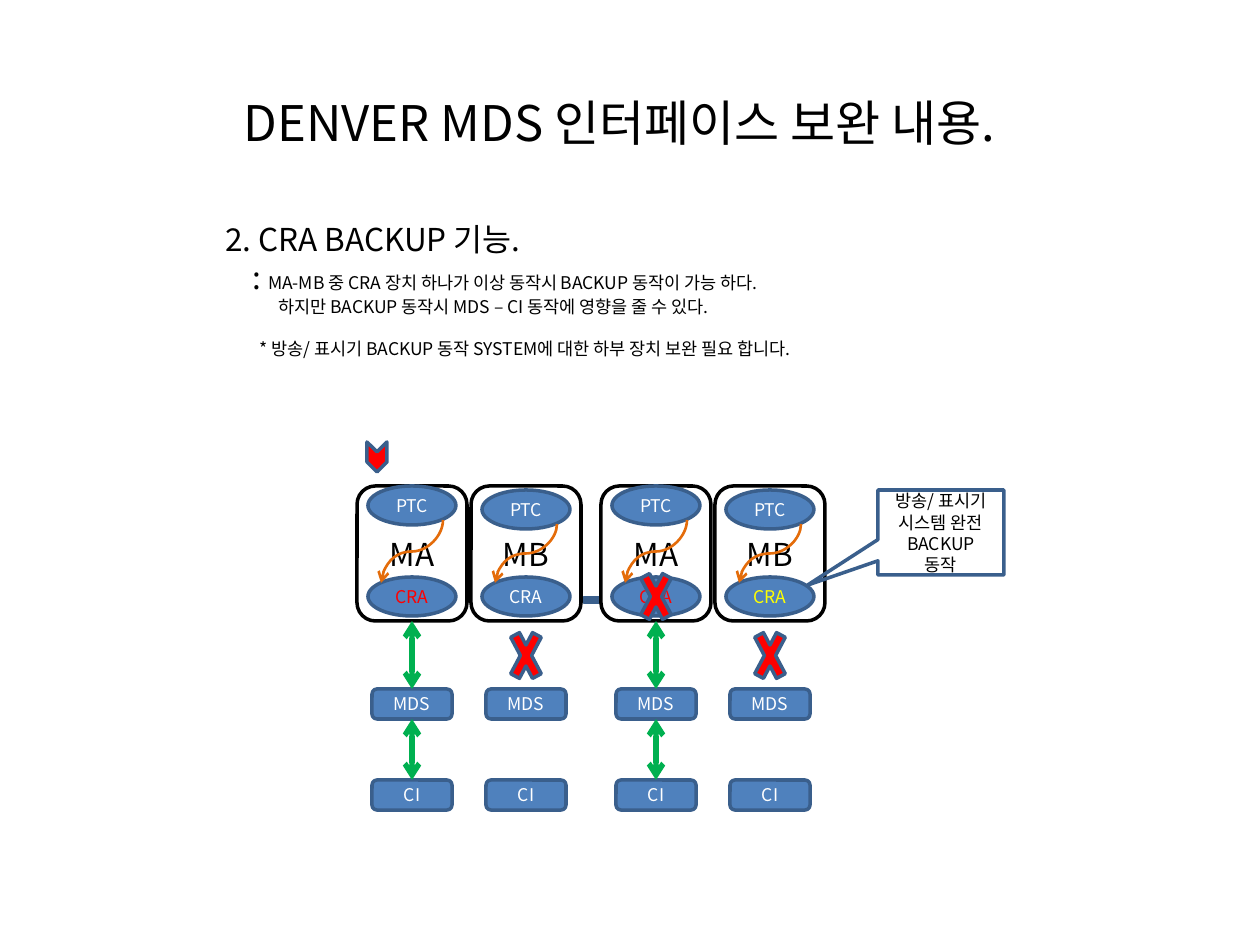
"""Build the slide on the CRA backup function of the MDS interface."""
from lxml.etree import SubElement
from pptx import Presentation
from pptx.dml.color import RGBColor
from pptx.enum.shapes import MSO_CONNECTOR, MSO_SHAPE
from pptx.enum.text import MSO_ANCHOR, MSO_AUTO_SIZE, PP_ALIGN
from pptx.oxml.ns import qn
from pptx.util import Emu, Pt

FONT = "Noto Sans CJK KR"
BLACK = RGBColor(0x00, 0x00, 0x00)
WHITE = RGBColor(0xFF, 0xFF, 0xFF)
RED = RGBColor(0xFF, 0x00, 0x00)
YELLOW = RGBColor(0xFF, 0xFF, 0x00)
BLUE = RGBColor(0x4F, 0x81, 0xBD)
NAVY = RGBColor(0x3A, 0x5F, 0x8C)
GREEN = RGBColor(0x00, 0xB0, 0x50)
ORANGE = RGBColor(0xE4, 0x6C, 0x0A)

TITLE = "DENVER MDS 인터페이스 보완 내용."
NOTES = [
    (0, 0, [("2. CRA BACKUP 기능.", 18)]),
    (27, 0, [(": ", 18), ("MA-MB 중 CRA 장치 하나가 이상 동작시 BACKUP 동작이 가능 하다.", 10)]),
    (53, 0, [("하지만 BACKUP 동작시 MDS – CI 동작에 영향을 줄 수 있다.", 10)]),
    (34, 12, [("* 방송/ 표시기 BACKUP 동작 SYSTEM에 대한 하부 장치 보완 필요 합니다.", 10)]),
]
CALLOUT = ["방송/ 표시기 시스템 완전 BACKUP", "동작"]
UNITS = [
    {"name": "MA", "mid": 412, "ptc": 486, "cra": RED, "linked": True, "cross": None},
    {"name": "MB", "mid": 526, "ptc": 490, "cra": WHITE, "linked": False, "cross": 616},
    {"name": "MA", "mid": 656, "ptc": 486, "cra": RED, "linked": True, "cross": 557},
    {"name": "MB", "mid": 770, "ptc": 490, "cra": YELLOW, "linked": False, "cross": 616},
]


def px(n):
    return Emu(round(n * 914400 / 126))


def write(p, text, size=10, color=BLACK, align=None):
    r = p.add_run()
    r.text = text
    r.font.size, r.font.name, r.font.color.rgb = Pt(size), FONT, color
    SubElement(r.font._element, qn("a:ea"), typeface=FONT)
    if align is not None:
        p.alignment = align


def add_box(kind, x, y, w, h, lines=(), fill=BLUE, line=NAVY, wrap=False, **fmt):
    sp = s.shapes.add_shape(kind, px(x), px(y), px(w), px(h))
    sp.shadow.inherit = False
    if fill is None:
        sp.fill.background()
    else:
        sp.fill.solid()
        sp.fill.fore_color.rgb = fill
    sp.line.color.rgb, sp.line.width = line, Pt(2)
    tf = sp.text_frame
    tf.word_wrap, tf.vertical_anchor = wrap, MSO_ANCHOR.MIDDLE
    for i, text in enumerate(lines):
        p = tf.add_paragraph() if i else tf.paragraphs[0]
        write(p, text, align=PP_ALIGN.CENTER, **fmt)
    return sp


def add_line(kind, x1, y1, x2, y2, color, width, ends):
    c = s.shapes.add_connector(kind, px(x1), px(y1), px(x2), px(y2))
    c.line.color.rgb, c.line.width = color, Pt(width)
    for end in ends:
        SubElement(c.line._get_or_add_ln(), qn(f"a:{end}"), type="arrow")
    SubElement(c._element.spPr, qn("a:effectLst"))
    return c


def link(upper, lower):
    c = add_line(MSO_CONNECTOR.STRAIGHT, 0, 0, 1, 1, GREEN, 3, ("headEnd", "tailEnd"))
    c.begin_connect(upper, 2)
    c.end_connect(lower, 0)


def add_curve(x1, y1, x2, y2):
    mx, my, dx, dy = (x1 + x2) / 2, (y1 + y2) / 2, abs(x2 - x1), abs(y2 - y1)
    c = add_line(MSO_CONNECTOR.CURVE, mx - dy / 2, my - dx / 2, mx + dy / 2, my + dx / 2,
                 ORANGE, 1.5, ("tailEnd",))
    c._element.spPr.find(qn("a:xfrm")).set("rot", "5400000")


def add_unit(unit):
    mid = unit["mid"]
    box = add_box(MSO_SHAPE.ROUNDED_RECTANGLE, mid - 55, 486, 110, 135, [unit["name"]],
                  fill=None, line=BLACK, size=18)
    add_box(MSO_SHAPE.OVAL, mid - 44, 577, 88, 39, ["CRA"], color=unit["cra"])
    mds, ci = [add_box(MSO_SHAPE.ROUNDED_RECTANGLE, mid - 40, y, 80, 30, [text], color=WHITE)
               for text, y in (("MDS", 689), ("CI", 780))]
    if unit["linked"]:
        link(box, mds)
        link(mds, ci)
    add_box(MSO_SHAPE.OVAL, mid - 44, unit["ptc"], 88, 39, ["PTC"], color=WHITE)
    add_curve(mid + 31, unit["ptc"] + 34, mid - 31, 583)
    if unit["cross"]:
        add_box(MSO_SHAPE.MATH_MULTIPLY, mid - 21, unit["cross"], 42, 79, fill=RED)


prs = Presentation()
prs.slide_width, prs.slide_height = px(1260), px(945)
s = prs.slides.add_slide(prs.slide_layouts[5])

title = s.shapes.title
title.left, title.top, title.width, title.height = px(84), px(20), px(1071), px(203)
title.text_frame.vertical_anchor = MSO_ANCHOR.MIDDLE
write(title.text_frame.paragraphs[0], TITLE, size=28, align=PP_ALIGN.CENTER)

tf = s.shapes.add_textbox(px(213), px(214), px(804), px(152)).text_frame
tf.word_wrap, tf.auto_size = True, MSO_AUTO_SIZE.SHAPE_TO_FIT_TEXT
for i, (indent, before, runs) in enumerate(NOTES):
    p = tf.add_paragraph() if i else tf.paragraphs[0]
    p._p.get_or_add_pPr().set("marL", str(px(indent)))
    if before:
        p.space_before = Pt(before)
    for text, size in runs:
        write(p, text, size=size)

add_box(MSO_SHAPE.MATH_EQUAL, 581, 597, 21, 6)
add_box(MSO_SHAPE.CHEVRON, 362, 447, 30, 20, fill=RED).rotation = 90
for unit in UNITS:
    add_unit(unit)
callout = add_box(MSO_SHAPE.RECTANGULAR_CALLOUT, 878, 490, 126, 85, CALLOUT, fill=None, wrap=True)
callout.adjustments[0], callout.adjustments[1] = -1.06, 0.62

prs.save("out.pptx")
